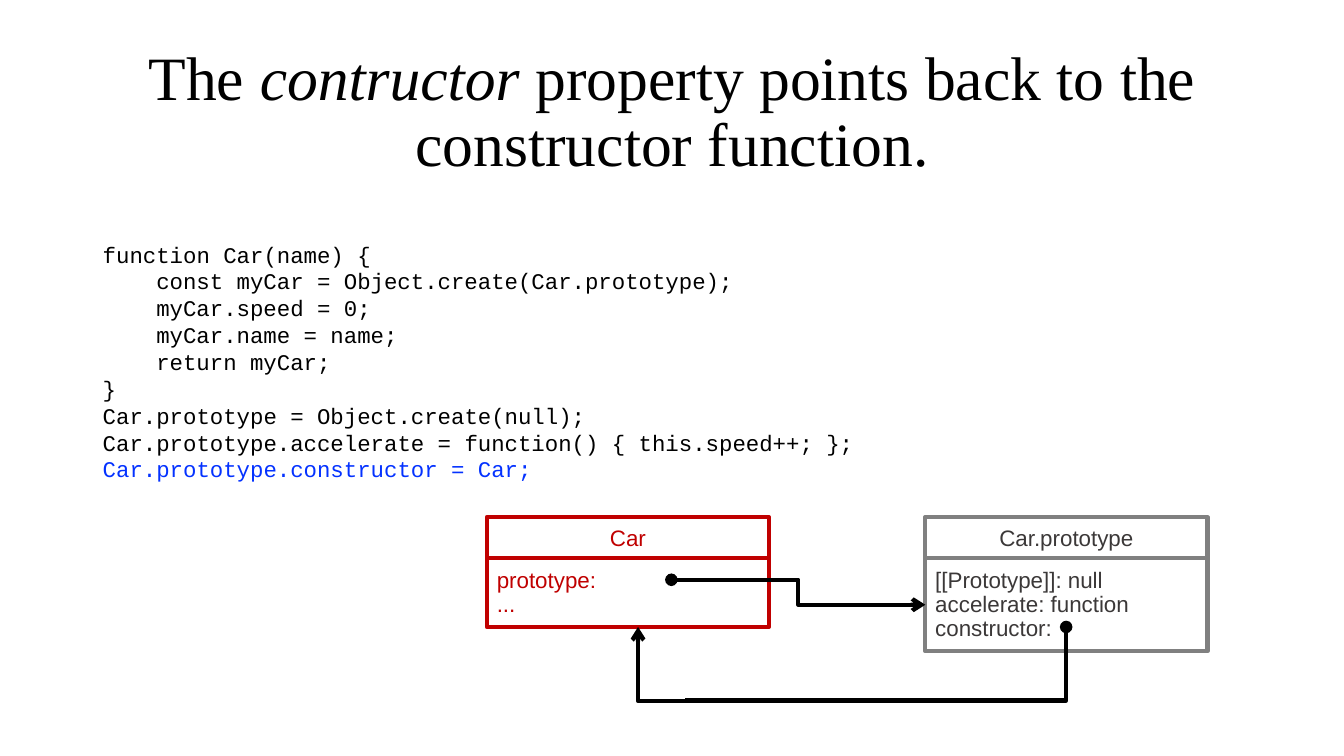
from lxml import etree
from pptx import Presentation
from pptx.dml.color import RGBColor
from pptx.enum.shapes import MSO_CONNECTOR, MSO_SHAPE
from pptx.enum.text import MSO_ANCHOR, PP_ALIGN
from pptx.oxml.ns import qn
from pptx.util import Cm, Pt

RECT, ELBOW = MSO_SHAPE.RECTANGLE, MSO_CONNECTOR.ELBOW
TOP, MIDDLE = MSO_ANCHOR.TOP, MSO_ANCHOR.MIDDLE
LEFT, CENTER = PP_ALIGN.LEFT, PP_ALIGN.CENTER

BLACK, BLUE, RED, GREY, DARK = "000000", "0432FF", "C00000", "808080", "3B3838"
TITLE = {"name": "Times New Roman", "size": Pt(44)}
CODE = {"name": "Courier New", "size": Pt(16)}
LABEL = {"name": "Arial", "size": Pt(16)}

# Code lines: indent level, text, colour
CODE_LINES = [
    (0, "function Car(name) {", BLACK),
    (1, "const myCar = Object.create(Car.prototype);", BLACK),
    (1, "myCar.speed = 0;", BLACK),
    (1, "myCar.name = name;", BLACK),
    (1, "return myCar;", BLACK),
    (0, "}", BLACK),
    (0, "Car.prototype = Object.create(null);", BLACK),
    (0, "Car.prototype.accelerate = function() { this.speed++; };", BLACK),
    (0, "Car.prototype.constructor = Car;", BLUE),
]
INDENT = Cm(1.35)

BOX_TOP, BOX_WIDTH, HEADER_HEIGHT = 13.03, 7.11, 1.04


def rgb(value):
    return RGBColor.from_string(value)


def add_run(p, text, font, color, italic=False):
    r = p.add_run()
    r.text = text
    for key, value in font.items():
        setattr(r.font, key, value)
    r.font.italic = italic
    r.font.color.rgb = rgb(color)


def add_paragraph(tf, first, spacing, align=LEFT):
    p = tf.paragraphs[0] if first else tf.add_paragraph()
    p.alignment, p.line_spacing = align, spacing
    return p


def add_text_box(s, left, top, width, height, anchor=TOP):
    tf = s.shapes.add_textbox(Cm(left), Cm(top), Cm(width), Cm(height)).text_frame
    tf.word_wrap = True
    tf.vertical_anchor = anchor
    return tf


def add_title(s):
    tf = add_text_box(s, 2.34, 1.02, 29.21, 3.68, MIDDLE)
    p = add_paragraph(tf, True, 0.9, CENTER)
    add_run(p, "The ", TITLE, BLACK)
    add_run(p, "contructor", TITLE, BLACK, italic=True)
    add_run(p, " property points back to the constructor function.", TITLE, BLACK)


def add_code(s):
    tf = add_text_box(s, 2.34, 5.94, 19.74, 11)
    for i, (level, text, color) in enumerate(CODE_LINES):
        p = add_paragraph(tf, i == 0, Pt(19.2))
        if level:
            p._p.get_or_add_pPr().set("marL", str(level * INDENT))
        add_run(p, text, CODE, color)


def add_cell(group, left, top, height, lines, line_color, text_color, frame, spacing, align):
    sp = group.shapes.add_shape(RECT, Cm(left), Cm(top), Cm(BOX_WIDTH), Cm(height))
    sp.shadow.inherit = False
    sp.fill.background()
    sp.line.color.rgb = rgb(line_color)
    sp.line.width = Pt(3)
    tf = sp.text_frame
    for key, value in frame.items():
        setattr(tf, key, value)
    for i, text in enumerate(lines):
        add_run(add_paragraph(tf, i == 0, spacing, align), text, LABEL, text_color)


def add_object_box(s, left, name, members, height, line_color, text_color):
    group = s.shapes.add_group_shape()
    sides = {"word_wrap": True, "margin_left": Cm(0.25), "margin_right": Cm(0.25)}
    header = {**sides, "margin_top": Cm(0.18), "margin_bottom": Cm(0.18),
              "vertical_anchor": MIDDLE}
    body = {**sides, "margin_top": Cm(0.25), "margin_bottom": Cm(0.25),
            "vertical_anchor": TOP}
    add_cell(group, left, BOX_TOP, HEADER_HEIGHT, [name],
             line_color, text_color, header, 1.0, CENTER)
    add_cell(group, left, BOX_TOP + HEADER_HEIGHT, height, members,
             line_color, text_color, body, Pt(17.4), LEFT)


def add_elbow(s, start, end, bend, head="none", tail="none", upright=False):
    """Elbow line; an upright one leaves its start vertically."""
    if upright:
        # Turn the end points about the centre, as the line is rotated by 270 degrees
        cx, cy = (start[0] + end[0]) / 2, (start[1] + end[1]) / 2
        start, end = [(cx - y + cy, cy + x - cx) for x, y in (start, end)]
    line = s.shapes.add_connector(ELBOW, *[Cm(v) for v in (*start, *end)])
    line.line.color.rgb = rgb(BLACK)
    line.line.width = Pt(3)
    pr = line._element.spPr
    if upright:
        pr.find(qn("a:xfrm")).set("rot", str(270 * 60000))
    guides = pr.find(qn("a:prstGeom")).get_or_add_avLst()
    etree.SubElement(guides, qn("a:gd"), name="adj1", fmla=f"val {round(bend * 100000)}")
    ln = pr.find(qn("a:ln"))
    etree.SubElement(ln, qn("a:headEnd"), type=head)
    etree.SubElement(ln, qn("a:tailEnd"), type=tail)
    etree.SubElement(pr, qn("a:effectLst"))


def main():
    prs = Presentation()
    prs.slide_width, prs.slide_height = Cm(33.87), Cm(19.05)
    s = prs.slides.add_slide(prs.slide_layouts[6])

    add_title(s)
    add_code(s)

    # Object boxes
    add_object_box(s, 23.32, "Car.prototype",
                   ["[[Prototype]]: null", "accelerate: function", "constructor:"],
                   2.34, GREY, DARK)
    add_object_box(s, 12.27, "Car", ["prototype:", "..."], 1.73, RED, RED)

    # Reference from Car to its prototype
    add_elbow(s, (16.92, 14.61), (23.32, 15.24), 0.5, head="oval", tail="arrow")

    # Reference from the prototype back to Car, in two joined lines
    joint = (17.27, 17.65)
    add_elbow(s, joint, (16.08, 15.8), -0.01, tail="arrow", upright=True)
    add_elbow(s, (26.87, 15.8), joint, 0, head="oval")

    prs.save("out.pptx")


if __name__ == "__main__":
    main()
